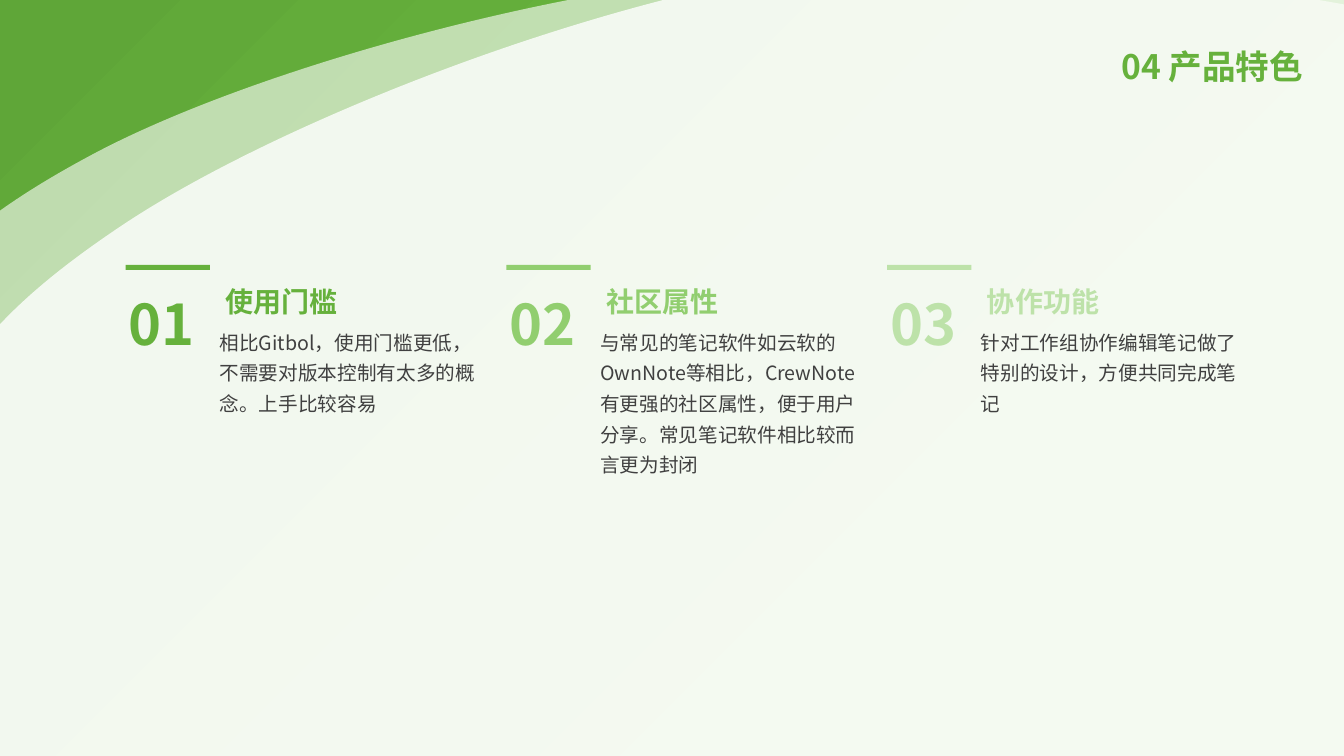
import dataclasses
import math
import pptx
import pptx.util
import pptx.dml.color
import pptx.enum.shapes
import pptx.enum.text
import pptx.oxml
import pptx.oxml.ns
import lxml.etree

ALIGN = pptx.enum.text.PP_ALIGN
ANCHOR = pptx.enum.text.MSO_ANCHOR
RECT = pptx.enum.shapes.MSO_SHAPE.RECTANGLE
WIDE, HIGH = 13.33, 7.5
GRID = 200  # columns and rows across the slide


@dataclasses.dataclass(frozen=True)
class Theme:
    font: str = "Noto Sans CJK SC"
    white: str = "FFFFFF"
    ink: str = "404040"
    green: str = "66B13C"
    tints: tuple = ("66B13C", "91CE6F", "BDE2A9")
    glow: tuple = ((0, "7DC555"), (23, "7DC555"), (69, "66B13C"), (97, "5FA638"))
    title: int = 24
    number: int = 40
    head: int = 20
    body: int = 14


THEME = Theme()

# Each wave: opacity in percent, turn in degrees, frame, then a start point
# and three points for each cubic curve, in inches
WAVES = [
    (60, 0, (-1.93, -0.34, 20.44, 9.93), [
        (-1.35, 3.89),
        (-1.02, 2.97), (-0.61, 2.34), (0.96, 1.51),
        (2.52, 0.69), (5.64, -0.2), (8.13, -0.32),
        (10.63, -0.44), (14.36, -0.01), (15.92, 0.82),
        (17.49, 1.64), (19.27, 4.16), (18.18, 5.46),
        (17.08, 6.77), (11.33, 9.31), (8.13, 9.57),
        (4.93, 9.83), (0.52, 7.85), (-1.04, 7.02),
        (-2.61, 6.2), (-1.68, 4.81), (-1.35, 3.89)]),
    (80, -5.9, (-1.38, -0.39, 20.44, 9.93), [
        (-0.83, 4.83),
        (-0.6, 3.88), (-0.25, 3.21), (1.22, 2.23),
        (2.69, 1.25), (5.7, 0.04), (8.17, -0.33),
        (10.64, -0.7), (14.39, -0.66), (16.03, 0),
        (17.67, 0.66), (19.71, 2.98), (18.75, 4.39),
        (17.8, 5.8), (12.34, 8.91), (9.18, 9.5),
        (6.02, 10.09), (1.43, 8.57), (-0.21, 7.92),
        (-1.85, 7.26), (-1.07, 5.78), (-0.83, 4.83)]),
]

# Heading, body text, body height in rows
ITEMS = [
    ("使用门槛", "相比Gitbol，使用门槛更低，不需要对版本控制有太多的概念。上手比较容易", 27.2),
    ("社区属性", "与常见的笔记软件如云软的OwnNote等相比，CrewNote有更强的社区属性，"
     "便于用户分享。常见笔记软件相比较而言更为封闭", 43.5),
    ("协作功能", "针对工作组协作编辑笔记做了特别的设计，方便共同完成笔记", 27.2),
]


def place(box, col=0, row=0, cols=None, rows=None):
    """Return the EMU frame of a part set relative to a grid box."""
    left, top, wide, high = box
    cols = wide if cols is None else cols
    rows = high if rows is None else rows
    x, y = WIDE / GRID, HIGH / GRID
    return [pptx.util.Inches(v) for v in
            ((left + col) * x, (top + row) * y, cols * x, rows * y)]


def paint(shape, color):
    shape.shadow.inherit = False
    shape.fill.solid()
    shape.fill.fore_color.rgb = pptx.dml.color.RGBColor.from_string(color)
    shape.line.fill.background()


def write(slide, frame, text, size, color, bold=False, align=ALIGN.LEFT,
          anchor=ANCHOR.TOP, wrap=True, space=1.3):
    area = slide.shapes.add_textbox(*frame).text_frame
    area.word_wrap = wrap
    area.vertical_anchor = anchor
    para = area.paragraphs[0]
    para.alignment = align
    para.line_spacing = space
    run = para.add_run()
    run.text = text
    font = run.font
    font.name, font.size, font.bold = THEME.font, pptx.util.Pt(size), bold
    font.color.rgb = pptx.dml.color.RGBColor.from_string(color)
    east = lxml.etree.SubElement(run._r.get_or_add_rPr(), pptx.oxml.ns.qn("a:ea"))
    east.set("typeface", THEME.font)


def glow(shape):
    """Fill the shape with a radial blend centred on its lower right corner."""
    stops = "".join(f'<a:gs pos="{pos * 1000}"><a:srgbClr val="{color}"/></a:gs>'
                    for pos, color in THEME.glow)
    blend = pptx.oxml.parse_xml(
        f'<a:gradFill {pptx.oxml.ns.nsdecls("a")} rotWithShape="1">'
        f'<a:gsLst>{stops}</a:gsLst><a:path path="circle">'
        '<a:fillToRect l="100000" t="100000"/></a:path></a:gradFill>')
    props = shape._element.spPr
    props.replace(props.find(pptx.oxml.ns.qn("a:solidFill")), blend)


def bend(shape, points):
    """Redraw the shape's outline as cubic curves through local points."""
    qn, make = pptx.oxml.ns.qn, lxml.etree.SubElement
    track = shape._element.spPr.find(".//" + qn("a:path"))
    for child in list(track):
        track.remove(child)
    steps = [("a:moveTo", points[:1])]
    steps += [("a:cubicBezTo", points[i:i + 3]) for i in range(1, len(points), 3)]
    for tag, group in steps:
        step = make(track, qn(tag))
        for x, y in group:
            spot = make(step, qn("a:pt"))
            spot.set("x", str(pptx.util.Inches(x)))
            spot.set("y", str(pptx.util.Inches(y)))
    make(track, qn("a:close"))


def draw_wave(slide, alpha, turn, frame, points):
    left, top, wide, high = frame
    corners = [(pptx.util.Inches(left + a * wide), pptx.util.Inches(top + b * high))
               for a, b in ((0, 0), (1, 0), (1, 1), (0, 1))]
    pen = slide.shapes.build_freeform(*corners[0])
    pen.add_line_segments(corners[1:], close=True)
    wave = pen.convert_to_shape()
    cos, sin = math.cos(math.radians(turn)), math.sin(math.radians(turn))
    shifts = [(x - left - wide / 2, y - top - high / 2) for x, y in points]
    bend(wave, [(wide / 2 + x * cos + y * sin, high / 2 - x * sin + y * cos)
                for x, y in shifts])
    wave.rotation = turn
    paint(wave, THEME.white)
    color = wave._element.spPr.find(".//" + pptx.oxml.ns.qn("a:srgbClr"))
    lxml.etree.SubElement(color, pptx.oxml.ns.qn("a:alpha")).set(
        "val", str(alpha * 1000))


def draw_back(slide, box):
    base = slide.shapes.add_shape(RECT, *place(box))
    paint(base, THEME.green)
    glow(base)
    for wave in WAVES:
        draw_wave(slide, *wave)


def draw_title(slide, box):
    write(slide, place(box), "04 产品特色", THEME.title, THEME.green, bold=True,
          align=ALIGN.RIGHT, anchor=ANCHOR.MIDDLE, space=0.9)


def draw_item(slide, box, number, tint, head, body, rows):
    bar = slide.shapes.add_shape(RECT, *place(box, 1, 0.1, 12.55, 1.33))
    paint(bar, tint)
    write(slide, place(box, 13.5, 14.35, 41.2, rows), body, THEME.body, THEME.ink)
    write(slide, place(box, 14.4, 1.2, 19.8, 14.4), head, THEME.head, tint,
          bold=True, wrap=False)
    write(slide, place(box, 0, 0, 13.4, 26), f"{number:02}", THEME.number, tint,
          bold=True, wrap=False)


def main():
    deck = pptx.Presentation()
    deck.slide_width = pptx.util.Inches(WIDE)
    deck.slide_height = pptx.util.Inches(HIGH)
    slide = deck.slides.add_slide(deck.slide_layouts[6])
    draw_back(slide, (0, 0, GRID, GRID))
    draw_title(slide, (108.4, 7.65, 87, 21))
    left, pitch = 17.7, 56.65
    for i, (tint, item) in enumerate(zip(THEME.tints, ITEMS)):
        draw_item(slide, (left + i * pitch, 70, pitch, 58), i + 1, tint, *item)
    deck.save("out.pptx")


if __name__ == "__main__":
    main()
